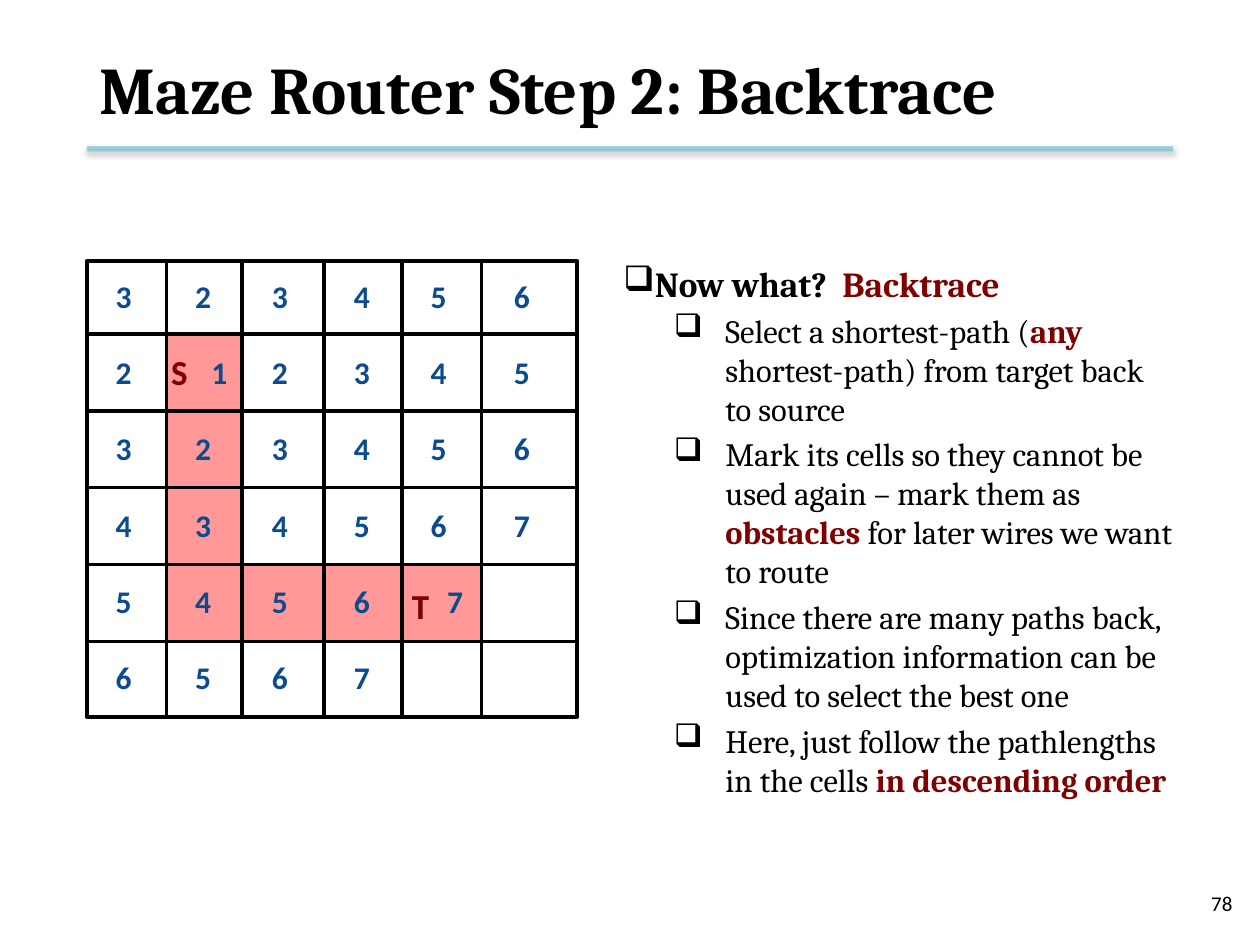
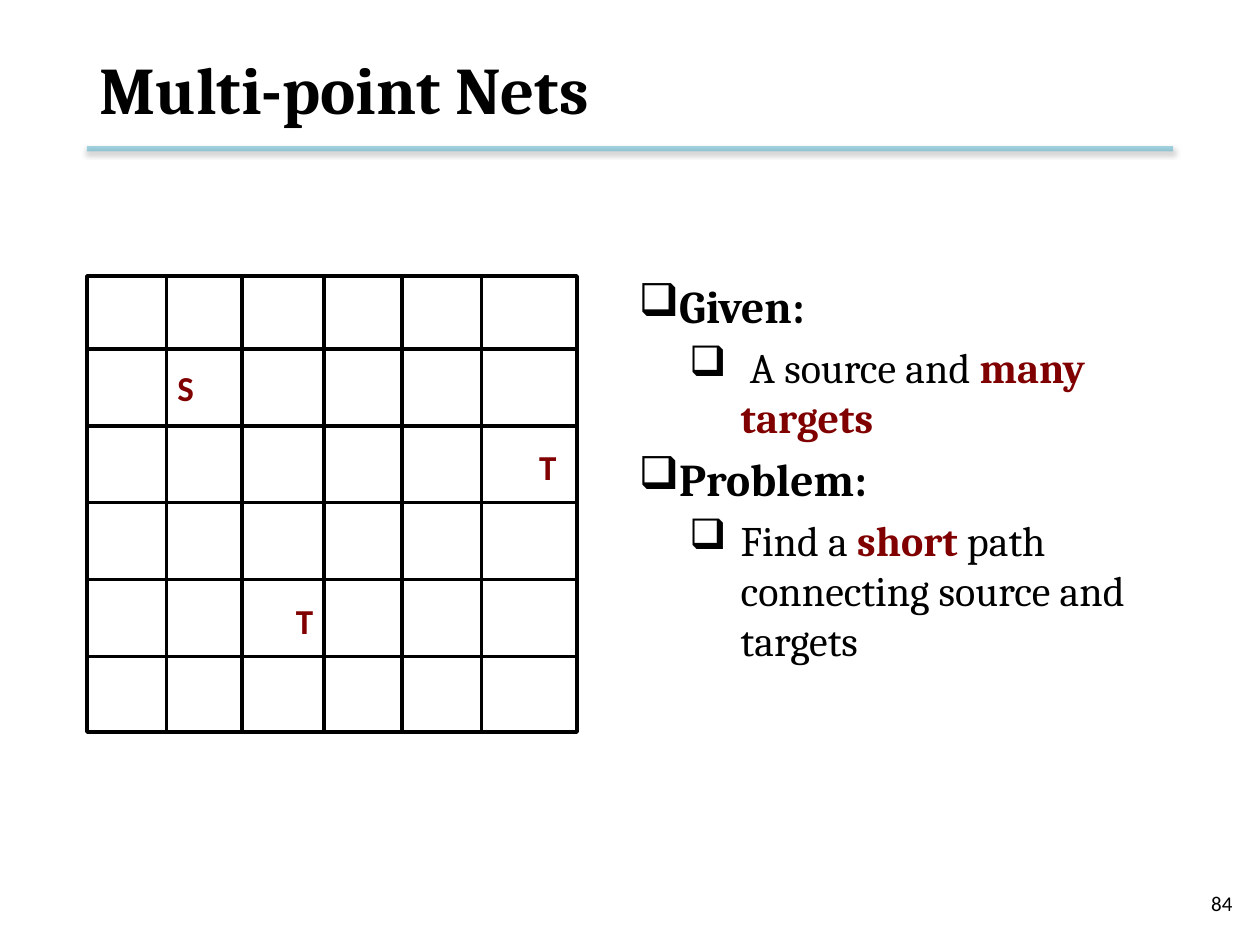
from lxml.etree import SubElement
from pptx import Presentation
from pptx.dml.color import RGBColor
from pptx.enum.shapes import MSO_CONNECTOR as Link, MSO_SHAPE as Shape
from pptx.enum.text import MSO_ANCHOR as Anchor, MSO_AUTO_SIZE as Fit, PP_ALIGN as Align
from pptx.oxml.ns import qn
from pptx.util import Inches, Pt

BLACK = RGBColor(0, 0, 0)
RED = RGBColor(0x80, 0, 0)
PINK = RGBColor(0xFF, 0x99, 0x99)
BLUE = RGBColor(0x0B, 0x4B, 0x8E)
TEAL = RGBColor(0x4B, 0xAC, 0xC6)
HEAD, BODY = "Cambria", "Calibri"

# Bullets are (level, text); words between asterisks are red and bold.
# Marks are (letter, left, top).
SLIDES = [
    {
        "title": "Maze Router Step 2: Backtrace",
        "page": "78",
        "top": 2.07,
        "path": [(1.32, 2.66, 0.59, 2.43), (1.32, 4.48, 2.5, 0.6)],
        "costs": ["323456", "212345", "323456", "434567", "54567", "6567"],
        "ends": [(1, 1), (4, 4)],
        "marks": [("S", 1.26, 2.73), ("T", 3.17, 4.59)],
        "box": (4.85, 2.03, 4.56, 3.93),
        "sizes": (20.1, 18.6),
        "bullets": [
            (0, "Now what?  *Backtrace*"),
            (1, "Select a shortest-path (*any *shortest-path) from target back to source"),
            (1, "Mark its cells so they cannot be used again – mark them as "
                "*obstacles *for later wires we want to route"),
            (1, "Since there are many paths back, optimization information "
                "can be used to select the best one"),
            (1, "Here, just follow the pathlengths in the cells *in descending order*"),
        ],
    },
    {
        "title": "Multi-point Nets",
        "page": "84",
        "top": 2.19,
        "path": [],
        "costs": [],
        "ends": [],
        "marks": [("S", 1.31, 2.86), ("T", 2.25, 4.71), ("T", 4.18, 3.49)],
        "box": (4.97, 2.16, 4.78, 4.19),
        "sizes": (26, 24),
        "bullets": [
            (0, "Given:"),
            (1, " A source and *many targets*"),
            (0, "Problem:"),
            (1, "Find a *short *path connecting source and targets"),
        ],
    },
]

LEFT, WIDTH, HEIGHT = 0.69, 3.89, 3.62
COLS = [1.32, 1.92, 2.57, 3.19, 3.82]
FIRST, STEP = 0.58, 0.61
COST_X = [0.82, 1.45, 2.06, 2.71, 3.32, 3.98]
COST_TOP, COST_STEP, END_SHIFT = 0.08, 0.605, 0.13
INDENTS = [(0.25, -0.25), (0.81, -0.41)]


def inches(vals):
    return [Inches(v) for v in vals]


def add_run(para, text, size, font, color, bold):
    run = para.add_run()
    run.text = text
    run.font.size = Pt(size)
    run.font.name = font
    run.font.bold = bold
    run.font.color.rgb = color


def add_text(slide, text, box, size=18, font=BODY, color=BLACK, bold=False,
             align=Align.LEFT, anchor=Anchor.TOP, wrap=True):
    frame = slide.shapes.add_textbox(*inches(box)).text_frame
    frame.word_wrap = wrap
    frame.auto_size = Fit.NONE if wrap else Fit.SHAPE_TO_FIT_TEXT
    frame.vertical_anchor = anchor
    para = frame.paragraphs[0]
    para.alignment = align
    if text:
        add_run(para, text, size, font, color, bold)
    return frame


def add_bullets(slide, items, box, sizes):
    frame = add_text(slide, "", box)
    for i, (level, text) in enumerate(items):
        para = frame.add_paragraph() if i else frame.paragraphs[0]
        para.level = level
        size = sizes[level]
        if i:
            para.space_before = Pt(0.2 * size)
        props = para._p.get_or_add_pPr()
        margin, indent = inches(INDENTS[level])
        props.set("marL", str(margin))
        props.set("indent", str(indent))
        SubElement(props, qn("a:buChar"), char="❑")
        for j, part in enumerate(text.split("*")):
            key = j % 2 == 1
            if part:
                add_run(para, part, size, HEAD, RED if key else BLACK,
                        key or level == 0)


def add_line(slide, ends, color=BLACK, width=2):
    """Draw a line and return it with its empty effect list."""
    line = slide.shapes.add_connector(Link.STRAIGHT, *inches(ends))
    line.line.color.rgb = color
    line.line.width = Pt(width)
    return line, SubElement(line._element.spPr, qn("a:effectLst"))


def add_rect(slide, box, fill=None):
    rect = slide.shapes.add_shape(Shape.RECTANGLE, *inches(box))
    rect.shadow.inherit = False
    if fill is None:
        rect.fill.background()
        rect.line.color.rgb = BLACK
        rect.line.width = Pt(2)
    else:
        rect.fill.solid()
        rect.fill.fore_color.rgb = fill
        rect.line.fill.background()


def add_frame(slide, title, page):
    """Title, rule below it and page number."""
    rule, effects = add_line(slide, (0.69, 1.18, 9.31, 1.18), TEAL, 3)
    tint = rule._element.spPr.find(".//" + qn("a:srgbClr"))
    SubElement(tint, qn("a:alpha"), val="50000")
    shade = SubElement(effects, qn("a:outerShdw"), blurRad=str(Pt(3.1)),
                       dist=str(Pt(1.6)), dir="5400000", rotWithShape="0")
    dark = SubElement(shade, qn("a:srgbClr"), val=str(BLACK))
    SubElement(dark, qn("a:alpha"), val="38000")
    add_text(slide, page, (7.55, 6.97, 2.33, 0.4), size=12,
             align=Align.RIGHT, anchor=Anchor.MIDDLE)
    add_text(slide, title, (0.69, 0.17, 8.62, 1.06), size=38, font=HEAD,
             bold=True, anchor=Anchor.MIDDLE)


def add_grid(slide, top):
    add_rect(slide, (LEFT, top, WIDTH, HEIGHT))
    for i in range(5):
        y = top + FIRST + i * STEP
        add_line(slide, (LEFT + 0.02, y, LEFT + WIDTH - 0.02, y))
    for x in COLS:
        add_line(slide, (x, top, x, top + HEIGHT - 0.01))


def add_costs(slide, rows, ends, top):
    for r, row in enumerate(rows):
        for c, cost in enumerate(row):
            x = COST_X[c] + (END_SHIFT if (r, c) in ends else 0)
            y = top + COST_TOP + r * COST_STEP
            add_text(slide, cost, (x, y, 0.34, 0.4), color=BLUE, bold=True,
                     wrap=False)


def main():
    deck = Presentation()
    deck.slide_width, deck.slide_height = Inches(10), Inches(7.5)
    for data in SLIDES:
        slide = deck.slides.add_slide(deck.slide_layouts[6])
        add_frame(slide, data["title"], data["page"])
        for box in data["path"]:
            add_rect(slide, box, PINK)
        add_bullets(slide, data["bullets"], data["box"], data["sizes"])
        add_grid(slide, data["top"])
        for mark, x, y in data["marks"]:
            add_text(slide, mark, (x, y, 0.38, 0.43), size=20, color=RED,
                     bold=True, wrap=False)
        add_costs(slide, data["costs"], data["ends"], data["top"])
    deck.save("out.pptx")


if __name__ == "__main__":
    main()
